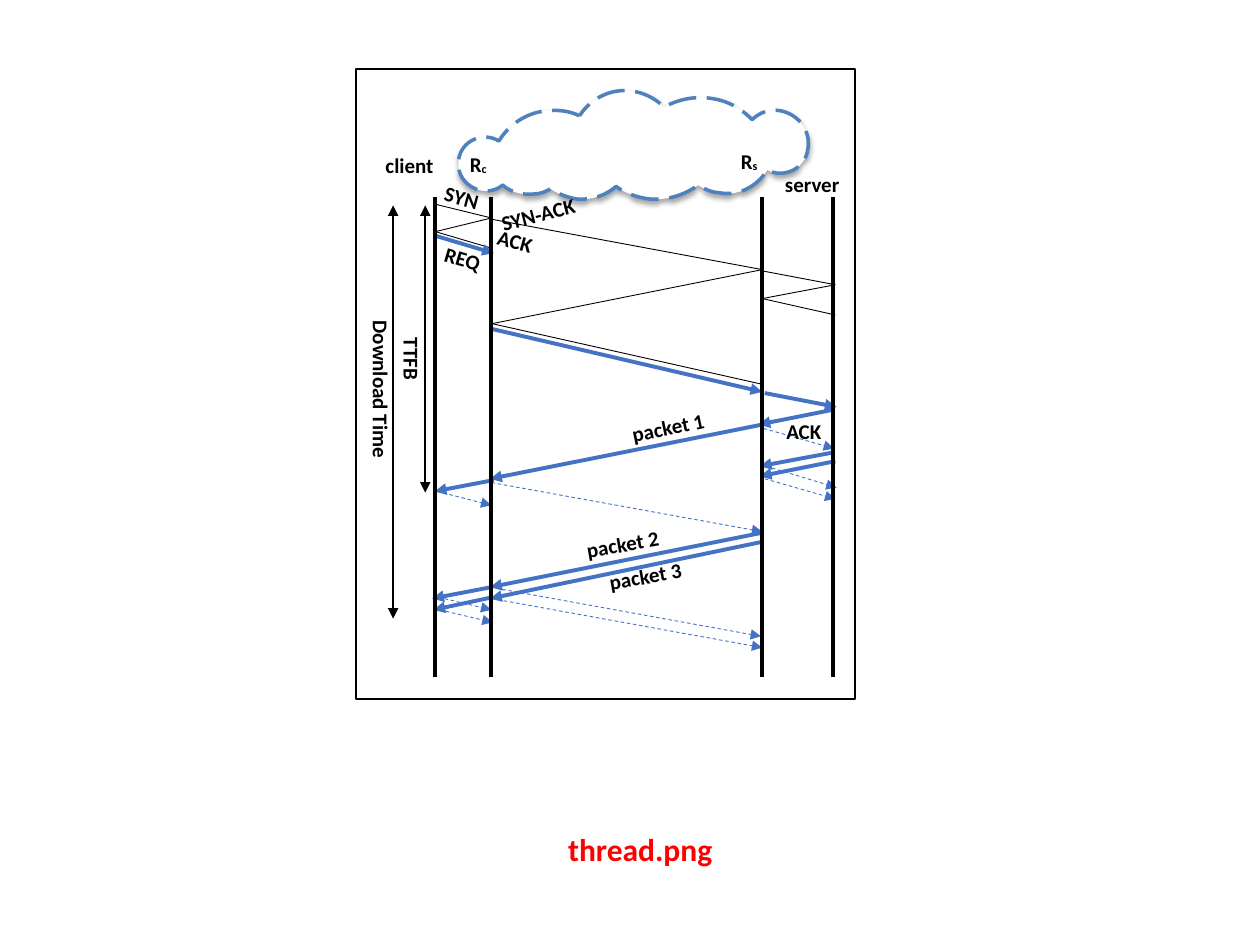
from dataclasses import dataclass

from lxml.etree import SubElement
from pptx import Presentation
from pptx.dml.color import RGBColor
from pptx.enum.dml import MSO_LINE_DASH_STYLE as Dash
from pptx.enum.shapes import MSO_CONNECTOR as Connector, MSO_SHAPE as Shape
from pptx.enum.text import MSO_AUTO_SIZE as AutoSize, PP_ALIGN as Align
from pptx.oxml.ns import qn
from pptx.util import Inches, Pt

COLUMNS, ROWS = 1000, 750
CLIENT, EDGE_C, EDGE_S, SERVER = 345, 390, 605, 661
LIFELINE_TOP, LIFELINE_HEIGHT = 156, 381
BLACK, WHITE, RED, BLUE, CLOUD_BLUE = "000000", "FFFFFF", "FF0000", "4472C4", "4F81BD"
LABEL_HEIGHT = 29

deck = Presentation()
deck.slide_width, deck.slide_height = Inches(10), Inches(7.5)
page = deck.slides.add_slide(deck.slide_layouts[6])


@dataclass(frozen=True)
class Stroke:
    color: str
    width: float
    dash: Dash | None = None
    head: bool = False
    tail: bool = False


HANDSHAKE = Stroke(BLACK, 0.5)
DATA = Stroke(BLUE, 2.25, tail=True)
REPLY = Stroke(BLUE, 0.5, Dash.DASH, tail=True)
DURATION = Stroke(BLACK, 1, head=True, tail=True)
LIFELINE = Stroke(BLACK, 2.25)
CLOUD_EDGE = Stroke(CLOUD_BLUE, 2, Dash.LONG_DASH)
BORDER = Stroke(BLACK, 1)


@dataclass(frozen=True)
class Message:
    stroke: Stroke
    x1: float
    y1: float
    x2: float
    y2: float


@dataclass(frozen=True)
class Label:
    text: str
    left: float
    top: float
    width: float
    rotation: float = 0
    subscript: str = ""
    height: float = LABEL_HEIGHT
    size: float = 12
    color: str = BLACK
    wrap: bool = False
    align: Align = Align.LEFT


EXCHANGE = [
    Label("client", 301, 116, 56),
    Label("R", 368, 115, 27, subscript="c"),
    Label("R", 583, 113, 26, subscript="s"),
    Label("server", 618, 131, 61),
    Message(DURATION, 337.5, 163, 337.5, 391),
    Label("TTFB", 302, 274, 51, 90),
    Message(HANDSHAKE, CLIENT, 162, EDGE_C, 173),
    Message(HANDSHAKE, EDGE_C, 173, CLIENT, 184),
    Message(HANDSHAKE, CLIENT + 1, 184, EDGE_C, 197),
    Message(HANDSHAKE, EDGE_C, 174, EDGE_S, 214),
    Message(HANDSHAKE, EDGE_S, 214, EDGE_C, 257),
    Message(HANDSHAKE, EDGE_C + 1, 257, EDGE_S, 305),
    Message(HANDSHAKE, EDGE_S, 215, SERVER + 2, 226),
    Message(HANDSHAKE, SERVER + 2, 226, EDGE_S, 237),
    Message(HANDSHAKE, EDGE_S, 237, SERVER + 2, 250),
    Message(REPLY, EDGE_S + 1, 340, SERVER + 1, 356),
    Label("ACK", 619, 327, 42),
    Message(DATA, SERVER + 1, 325, EDGE_S - 3, 337),
    Message(DATA, SERVER + 1, 359, EDGE_S - 2, 370),
    Message(DATA, SERVER + 2, 366, EDGE_S - 2, 378),
    Message(REPLY, EDGE_S + 3, 370, SERVER + 3, 387),
    Message(REPLY, EDGE_S + 2, 380, SERVER + 2, 396),
    Message(DATA, EDGE_S, 337, EDGE_C - 1, 380),
    Message(REPLY, EDGE_C, 383, EDGE_S, 422),
    Message(DATA, EDGE_S - 1, 423, EDGE_C - 1, 466),
    Message(DATA, EDGE_S, 430, EDGE_C - 1, 475),
    Message(REPLY, EDGE_C - 1, 466, EDGE_S - 1, 505),
    Message(REPLY, EDGE_C, 475, EDGE_S, 514),
    Message(DATA, EDGE_C + 2, 381, CLIENT, 390),
    Message(DATA, EDGE_C, 466, CLIENT - 2, 475),
    Message(DATA, EDGE_C + 1, 474, CLIENT - 1, 484),
    Message(REPLY, CLIENT + 2, 390, EDGE_C, 401),
    Message(REPLY, CLIENT + 3, 474, EDGE_C, 484),
    Message(REPLY, CLIENT + 4, 484, EDGE_C + 1, 494),
    Label("packet 1", 496, 323, 79, 348.2),
    Label("packet 2", 460, 416, 79, 350.1),
    Label("packet 3", 478, 441, 79, 349.9),
    Label("SYN", 348, 142, 41, 15),
    Label("SYN-ACK", 392, 154, 78, 345.6),
    Label("ACK", 390, 177, 42, 15.5),
    Label("REQ", 348, 191, 43, 16.4),
    Message(DATA, CLIENT, 187, EDGE_C + 2, 201),
    Message(DATA, EDGE_C, 261, EDGE_S, 311),
    Message(DATA, EDGE_S + 2, 312, SERVER + 3, 323),
    Message(DURATION, 312, 163, 312, 491),
]
LIFELINES = [
    Message(LIFELINE, lane, LIFELINE_TOP, lane, LIFELINE_TOP + LIFELINE_HEIGHT)
    for lane in (CLIENT, EDGE_C, EDGE_S, SERVER)
]
CAPTIONS = [
    Label("Download Time", 200, 294, 205, 90, height=30, wrap=True, align=Align.CENTER),
    Label("thread.png", 446, 654, 125, height=40, size=18, color=RED),
]

CLOUD_START = (460, 92)
CLOUD_CURVES = [
    (452, 88, 442, 87, 433, 88), (417, 90, 404, 99, 396, 112),
    (383, 104, 366, 112, 364, 127), (361, 146, 384, 159, 399, 147),
    (406, 153, 415, 155, 424, 154), (429, 154, 433, 152, 437, 150),
    (443, 154, 451, 157, 458, 158), (470, 159, 481, 155, 489, 148),
    (497, 154, 507, 157, 516, 158), (530, 159, 543, 155, 554, 147),
    (559, 150, 565, 153, 571, 153), (586, 156, 601, 148, 609, 135),
    (622, 142, 639, 134, 641, 119), (646, 94, 615, 77, 597, 95),
    (591, 89, 584, 84, 576, 81), (559, 75, 542, 77, 527, 85),
    (518, 76, 505, 71, 493, 72), (479, 73, 467, 81, 460, 92),
]


def across(columns: float) -> int:
    return round(deck.slide_width * columns / COLUMNS)


def down(rows: float) -> int:
    return round(deck.slide_height * rows / ROWS)


def rgb(color: str) -> RGBColor:
    return RGBColor.from_string(color)


def apply_stroke(shape, stroke: Stroke) -> None:
    shape.line.color.rgb = rgb(stroke.color)
    for name, value in {"width": Pt(stroke.width), "dash_style": stroke.dash}.items():
        setattr(shape.line, name, value)
    outline = shape._element.spPr.find(qn("a:ln"))
    for tag, shown in {"a:headEnd": stroke.head, "a:tailEnd": stroke.tail}.items():
        if shown:
            SubElement(outline, qn(tag), type="triangle")


def draw_message(message: Message) -> None:
    line = page.shapes.add_connector(
        Connector.STRAIGHT, across(message.x1), down(message.y1),
        across(message.x2), down(message.y2))
    apply_stroke(line, message.stroke)
    SubElement(line._element.spPr, qn("a:effectLst"))


def draw_label(label: Label) -> None:
    box = page.shapes.add_textbox(
        across(label.left), down(label.top), across(label.width), down(label.height))
    box.rotation = label.rotation
    frame = box.text_frame
    margins = {f"margin_{side}": Inches(0.05) for side in ("left", "top", "right", "bottom")}
    for name, value in {**margins, "word_wrap": label.wrap,
                        "auto_size": AutoSize.SHAPE_TO_FIT_TEXT}.items():
        setattr(frame, name, value)
    para = frame.paragraphs[0]
    para.alignment = label.align
    for text in filter(None, (label.text, label.subscript)):
        span = para.add_run()
        span.text = text
        for name, value in {"name": "Calibri", "size": Pt(label.size), "bold": True}.items():
            setattr(span.font, name, value)
        span.font.color.rgb = rgb(label.color)
        if text == label.subscript:
            span._r.get_or_add_rPr().set("baseline", "-6000")


def draw_cloud() -> None:
    ends = [(across(x), down(y)) for *_, x, y in CLOUD_CURVES]
    builder = page.shapes.build_freeform(across(CLOUD_START[0]), down(CLOUD_START[1]))
    builder.add_line_segments(ends, close=True)
    cloud = builder.convert_to_shape()
    for segment, curve in zip(list(cloud._element.iter(qn("a:lnTo"))), CLOUD_CURVES):
        segment.tag = qn("a:cubicBezTo")
        segment.clear()
        for x, y in zip(curve[::2], curve[1::2]):
            SubElement(segment, qn("a:pt"), x=str(across(x) - cloud.left),
                       y=str(down(y) - cloud.top))
    cloud.fill.solid()
    cloud.fill.fore_color.rgb = rgb(WHITE)
    apply_stroke(cloud, CLOUD_EDGE)
    effects = SubElement(cloud._element.spPr, qn("a:effectLst"))
    shadow = SubElement(effects, qn("a:outerShdw"), blurRad=str(Pt(3)), dist=str(Pt(1.8)),
                        dir="5400000", rotWithShape="0")
    tint = SubElement(shadow, qn("a:srgbClr"), val=BLACK)
    SubElement(tint, qn("a:alpha"), val="35000")


def draw_frame() -> None:
    border = page.shapes.add_shape(
        Shape.RECTANGLE, across(282.5), down(55), across(396), down(500))
    border.shadow.inherit = False
    border.fill.background()
    apply_stroke(border, BORDER)


def draw_all(items: list[Message | Label]) -> None:
    for item in items:
        draw = draw_message if isinstance(item, Message) else draw_label
        draw(item)


draw_cloud()
draw_all(EXCHANGE + LIFELINES)
draw_frame()
draw_all(CAPTIONS)
deck.save("out.pptx")
